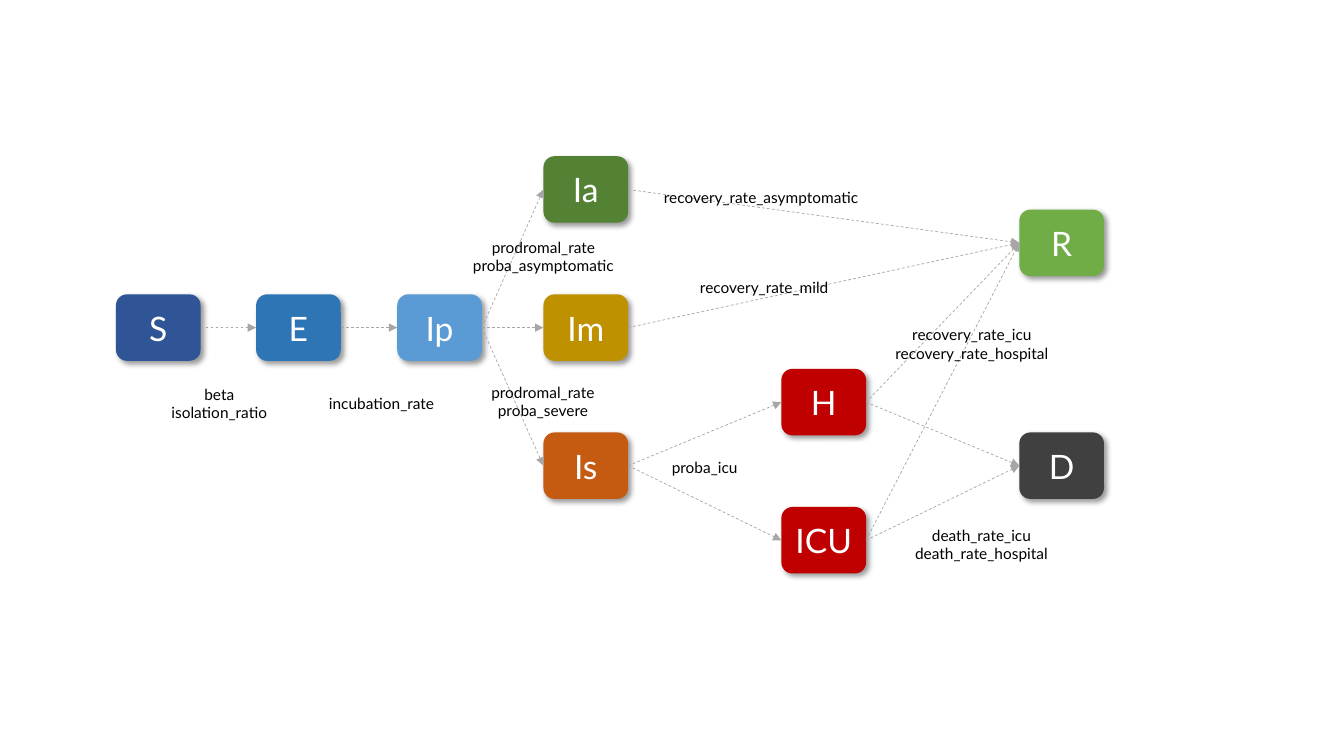
from lxml.etree import SubElement
from pptx import Presentation
from pptx.dml.color import RGBColor
from pptx.enum.dml import MSO_LINE
from pptx.enum.shapes import MSO_CONNECTOR, MSO_SHAPE
from pptx.enum.text import MSO_ANCHOR, MSO_AUTO_SIZE, PP_ALIGN
from pptx.oxml.ns import qn
from pptx.util import Inches, Pt

FONT = "Lato"
STATE_W, STATE_H = 0.84, 0.66
LEFT_SITE, RIGHT_SITE = 1, 3

STATES = {
    "S": (0, 1.37, "2F5597"),
    "E": (1.39, 1.37, "2E75B6"),
    "Ip": (2.79, 1.37, "5B9BD5"),
    "Ia": (4.24, 0, "548235"),
    "Im": (4.24, 1.37, "BF9000"),
    "Is": (4.24, 2.74, "C55A11"),
    "H": (6.6, 2.11, "C00000"),
    "ICU": (6.6, 3.48, "C00000"),
    "R": (8.96, 0.53, "70AD47"),
    "D": (8.96, 2.74, "404040"),
}
TRANSITIONS = [
    ("S", "E"), ("E", "Ip"), ("Ip", "Ia"), ("Ip", "Im"), ("Ip", "Is"),
    ("Ia", "R"), ("Im", "R"), ("Is", "H"), ("Is", "ICU"),
    ("H", "R"), ("H", "D"), ("ICU", "D"), ("ICU", "R"),
]
RATES = [
    (0.44, 2.22, 1.17, ["beta", "isolation_ratio"]),
    (2, 2.31, 1.27, ["incubation_rate"]),
    (3.43, 0.76, 1.62, ["prodromal_rate", "proba_asymptomatic"]),
    (3.61, 2.2, 1.25, ["prodromal_rate", "proba_severe"]),
    (5.32, 0.27, 2.16, ["recovery_rate_asymptomatic"]),
    (5.68, 1.16, 1.5, ["recovery_rate_mild"]),
    (5.41, 2.95, 0.86, ["proba_icu"]),
    (7.62, 1.63, 1.74, ["recovery_rate_icu", "recovery_rate_hospital"]),
    (7.82, 3.62, 1.53, ["death_rate_icu", "death_rate_hospital"]),
]


def rgb(value):
    """Turn a hex string into a colour."""
    return RGBColor.from_string(value)


def write_lines(frame, lines, size, color):
    """Write centred lines, one paragraph each."""
    for index, line in enumerate(lines):
        paragraph = frame.add_paragraph() if index else frame.paragraphs[0]
        paragraph.alignment = PP_ALIGN.CENTER
        run = paragraph.add_run()
        run.text = line
        run.font.name = FONT
        run.font.size = Pt(size)
        run.font.color.rgb = rgb(color)


def add_shadow(state):
    """Give a state a soft shadow to the lower right."""
    state.shadow.inherit = False
    effects = state._element.spPr.find(qn("a:effectLst"))
    shadow = SubElement(effects, qn("a:outerShdw"), blurRad=str(Pt(4)),
                        dist=str(Pt(3)), dir=str(45 * 60000),
                        algn="tl", rotWithShape="0")
    black = SubElement(shadow, qn("a:srgbClr"), val="000000")
    SubElement(black, qn("a:alpha"), val="40000")


def add_state(slide, left, top, name, color):
    """Draw one compartment of the model."""
    state = slide.shapes.add_shape(
        MSO_SHAPE.ROUNDED_RECTANGLE, Inches(left), Inches(top),
        Inches(STATE_W), Inches(STATE_H))
    state.fill.solid()
    state.fill.fore_color.rgb = rgb(color)
    state.line.fill.background()
    add_shadow(state)
    state.text_frame.vertical_anchor = MSO_ANCHOR.MIDDLE
    write_lines(state.text_frame, [name], 24, "FFFFFF")
    return state


def add_transition(slide, source, target):
    """Join two states with a dashed arrow."""
    arrow = slide.shapes.add_connector(MSO_CONNECTOR.STRAIGHT, 0, 0, 0, 0)
    arrow.begin_connect(source, RIGHT_SITE)
    arrow.end_connect(target, LEFT_SITE)
    arrow.line.color.rgb = rgb("A6A6A6")
    arrow.line.width = Pt(0.5)
    arrow.line.dash_style = MSO_LINE.DASH
    SubElement(arrow.line._get_or_add_ln(), qn("a:tailEnd"), type="triangle")
    SubElement(arrow._element.spPr, qn("a:effectLst"))


def add_rate(slide, left, top, width, lines):
    """Label a transition with its parameters."""
    height = 0.29 + 0.18 * (len(lines) - 1)
    rate = slide.shapes.add_textbox(
        Inches(left), Inches(top), Inches(width), Inches(height))
    rate.text_frame.word_wrap = False
    rate.text_frame.auto_size = MSO_AUTO_SIZE.SHAPE_TO_FIT_TEXT
    write_lines(rate.text_frame, lines, 11, "000000")


def add_model(slide, left, top):
    """Draw the compartment model from its top left corner."""
    states = {name: add_state(slide, left + x, top + y, name, color)
              for name, (x, y, color) in STATES.items()}
    for source, target in TRANSITIONS:
        add_transition(slide, states[source], states[target])
    for x, y, width, lines in RATES:
        add_rate(slide, left + x, top + y, width, lines)


deck = Presentation()
deck.slide_width, deck.slide_height = Inches(13.33), Inches(7.5)
model_slide = deck.slides.add_slide(deck.slide_layouts[6])
add_model(model_slide, 1.15, 1.55)
deck.save("out.pptx")
